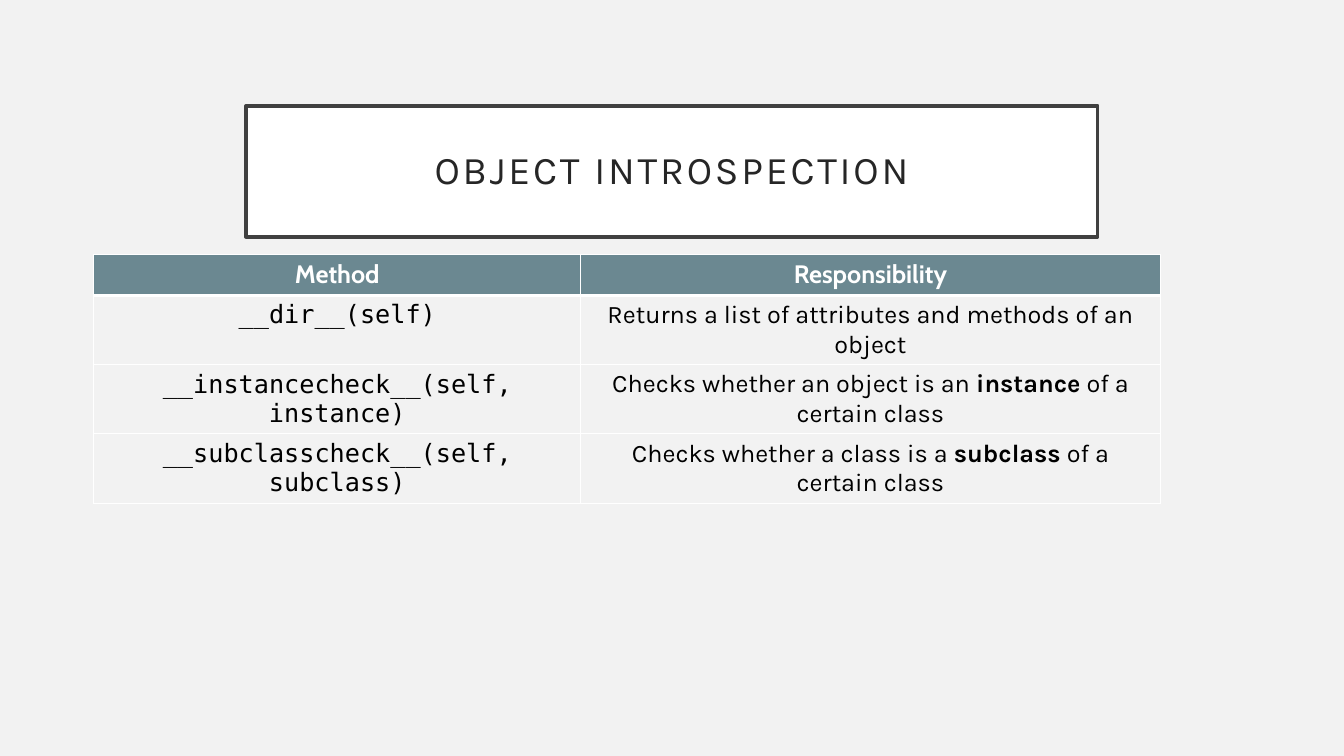
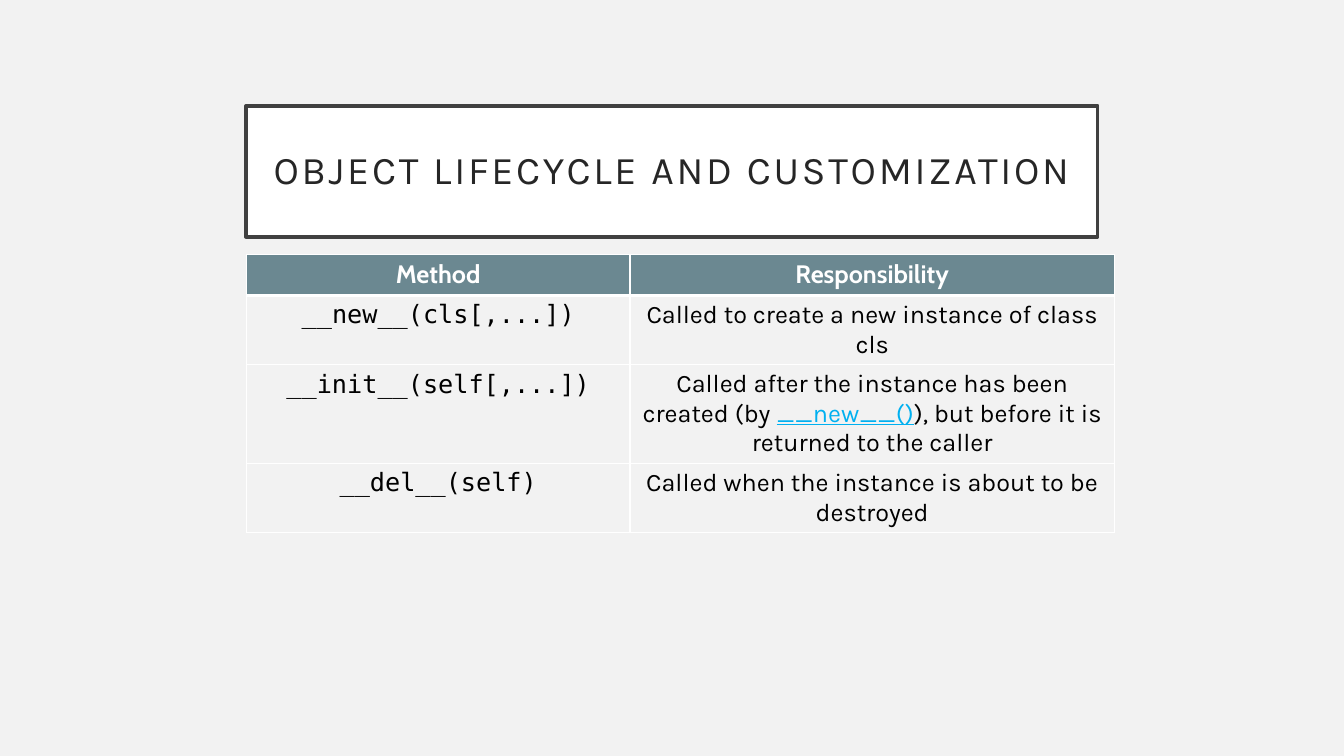
"""Build two slides that tabulate special methods of Python objects."""
from dataclasses import dataclass
from typing import Any

from lxml import etree
from pptx import Presentation
from pptx.dml.color import RGBColor
from pptx.enum.shapes import MSO_SHAPE
from pptx.enum.text import MSO_ANCHOR, PP_ALIGN
from pptx.oxml.ns import qn
from pptx.presentation import Presentation as Deck
from pptx.slide import Slide
from pptx.table import _Cell
from pptx.util import Pt

RECTANGLE = MSO_SHAPE.RECTANGLE
CENTER = PP_ALIGN.CENTER
MIDDLE = MSO_ANCHOR.MIDDLE

COLOURS = {
    "page": "F2F2F2",
    "white": "FFFFFF",
    "frame": "404040",
    "title": "262626",
    "header": "6B8891",
    "body": "000000",
    "link": "00B0F0",
}
FORMATS: dict[str, dict[str, Any]] = {
    "title": {"name": "Karla", "size": Pt(28), "bold": False},
    "header": {"name": "Cabin", "size": Pt(18), "bold": True},
    "code": {"name": "DejaVu Sans Mono", "size": Pt(18), "bold": False},
    "body": {"name": "Karla", "size": Pt(18), "bold": False},
    "strong": {"name": "Karla", "size": Pt(18), "bold": True},
    "link": {"name": "Karla", "size": Pt(18), "bold": False, "underline": True},
}
TEXT_COLOURS = {"title": "title", "header": "white", "link": "link"}
TITLE_INSETS = ("margin_left", "margin_top", "margin_right", "margin_bottom")
TABLE_TOP = 181.5
ROW_HEIGHT = 29.5
THIN, THICK = 1, 3


@dataclass(frozen=True)
class Span:
    text: str
    style: str = "body"


@dataclass(frozen=True)
class Method:
    signature: str
    responsibility: tuple[Span, ...]


@dataclass(frozen=True)
class MethodPage:
    title: str
    left: float
    widths: tuple[float, float]
    methods: tuple[Method, ...]


PAGES = (
    MethodPage("OBJECT INTROSPECTION", 67, (347.8, 414), (
        Method("__dir__(self)", (
            Span("Returns a list of attributes and methods of an object"),)),
        Method("__instancecheck__(self, instance)", (
            Span("Checks whether an object is an "),
            Span("instance", "strong"),
            Span(" of a certain class"))),
        Method("__subclasscheck__(self, subclass)", (
            Span("Checks whether a class is a "),
            Span("subclass", "strong"),
            Span(" of a certain class"))),
    )),
    MethodPage("OBJECT LIFECYCLE AND CUSTOMIZATION", 176, (274, 346), (
        Method("__new__(cls[,...])", (
            Span("Called to create a new instance of class cls"),)),
        Method("__init__(self[,...])", (
            Span("Called after the instance has been created (by "),
            Span("__new__()", "link"),
            Span("), but before it is returned to the caller"))),
        Method("__del__(self)", (
            Span("Called when the instance is about to be destroyed"),)),
    )),
)


def colour(name: str) -> RGBColor:
    """Return a named colour."""
    return RGBColor.from_string(COLOURS[name])


def write_spans(para: Any, spans: tuple[Span, ...]) -> None:
    """Write centred, formatted text into a paragraph."""
    para.alignment = CENTER
    for span in spans:
        run = para.add_run()
        run.text = span.text
        for key, value in FORMATS[span.style].items():
            setattr(run.font, key, value)
        run.font.color.rgb = colour(TEXT_COLOURS.get(span.style, "body"))


def add_title(page: Slide, text: str) -> None:
    """Draw the framed title with widely spaced letters."""
    box = page.shapes.add_shape(RECTANGLE, Pt(175.7), Pt(75.6), Pt(608.4), Pt(93.6))
    box.shadow.inherit = False
    box.fill.solid()
    box.fill.fore_color.rgb = colour("white")
    box.line.color.rgb = colour("frame")
    box.line.width = Pt(2.5)
    frame = box.text_frame
    frame.word_wrap = True
    frame.vertical_anchor = MIDDLE
    for inset in TITLE_INSETS:
        setattr(frame, inset, Pt(14.4))
    para = frame.paragraphs[0]
    para.line_spacing = 0.9
    write_spans(para, (Span(text, "title"),))
    para.runs[0].font._element.set("spc", "200")


def add_borders(cell: _Cell, top: int, bottom: int) -> None:
    """Give a cell white borders."""
    properties = cell._tc.get_or_add_tcPr()
    widths = {"a:lnL": THIN, "a:lnR": THIN, "a:lnT": top, "a:lnB": bottom}
    for tag, width in widths.items():
        line = etree.SubElement(properties, qn(tag), w=str(Pt(width)))
        fill = etree.SubElement(line, qn("a:solidFill"))
        etree.SubElement(fill, qn("a:srgbClr"), val=COLOURS["white"])


def add_method_table(page: Slide, content: MethodPage) -> None:
    """Draw the table of methods and their responsibilities."""
    rows = [((Span("Method", "header"),), (Span("Responsibility", "header"),))]
    rows += [((Span(method.signature, "code"),), method.responsibility)
             for method in content.methods]
    table = page.shapes.add_table(
        len(rows), len(content.widths), Pt(content.left), Pt(TABLE_TOP),
        Pt(sum(content.widths)), Pt(ROW_HEIGHT * len(rows))).table
    table.horz_banding = False
    for column, width in zip(table.columns, content.widths):
        column.width = Pt(width)
    for row_index, row in enumerate(rows):
        table.rows[row_index].height = Pt(ROW_HEIGHT)
        for column_index, spans in enumerate(row):
            cell = table.cell(row_index, column_index)
            add_borders(cell, THICK if row_index == 1 else THIN,
                        THICK if row_index == 0 else THIN)
            if row_index == 0:
                cell.fill.solid()
                cell.fill.fore_color.rgb = colour("header")
            else:
                cell.fill.background()
            write_spans(cell.text_frame.paragraphs[0], spans)


def build_deck() -> Deck:
    """Build all pages on a shared background."""
    deck = Presentation()
    deck.slide_width, deck.slide_height = Pt(960), Pt(540)
    background = deck.slide_master.background.fill
    background.solid()
    background.fore_color.rgb = colour("page")
    for content in PAGES:
        page = deck.slides.add_slide(deck.slide_layouts[6])
        add_title(page, content.title)
        add_method_table(page, content)
    return deck


if __name__ == "__main__":
    build_deck().save("out.pptx")
